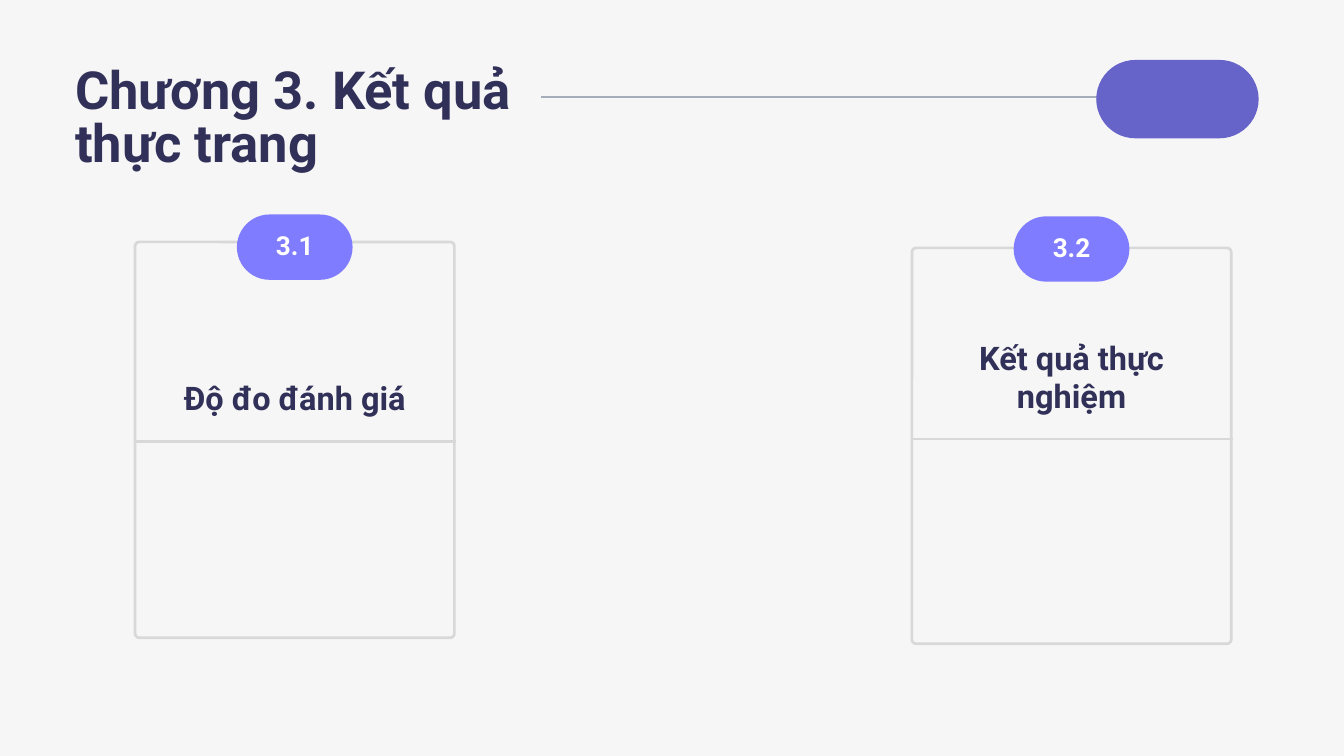
from dataclasses import dataclass
from lxml.etree import SubElement
from pptx import Presentation
from pptx.dml.color import RGBColor as RGB
from pptx.enum.shapes import MSO_CONNECTOR as LINK, MSO_SHAPE as SHAPE
from pptx.enum.text import PP_ALIGN as ALIGN
from pptx.oxml.ns import qn
from pptx.util import Pt


@dataclass(frozen=True)
class Theme:
    """Colours, font and type sizes of the deck."""
    back: RGB = RGB.from_string("F6F6F6")
    ink: RGB = RGB.from_string("313059")
    white: RGB = RGB.from_string("FFFFFF")
    deep: RGB = RGB.from_string("6663C9")
    bright: RGB = RGB.from_string("807CFF")
    frame: RGB = RGB.from_string("D8D8D8")
    rule: RGB = RGB.from_string("A4ADB8")
    font: str = "Roboto"
    title: float = 56.2
    head: float = 34.8
    label: float = 28


THEME = Theme()


def add_text(slide, box, text, size, lead, color, align=ALIGN.CENTER):
    """Place bold wrapped text without margins in a box."""
    frame = slide.shapes.add_textbox(*map(Pt, box)).text_frame
    frame.word_wrap = True
    frame.margin_left = frame.margin_right = 0
    frame.margin_top = frame.margin_bottom = 0
    para = frame.paragraphs[0]
    para.text, para.alignment, para.line_spacing = text, align, Pt(lead)
    font = para.font
    font.name, font.size, font.bold = THEME.font, Pt(size), True
    font.color.rgb = color


def add_line(slide, left, right, y, color):
    """Draw a level rule."""
    line = slide.shapes.add_connector(LINK.STRAIGHT, Pt(left), Pt(y), Pt(right), Pt(y))
    line.line.color.rgb, line.line.width = color, Pt(2.25)
    SubElement(line._element.spPr, qn("a:effectLst"))


def add_round(slide, box, bend):
    """Add a rounded box without shadow."""
    shape = slide.shapes.add_shape(SHAPE.ROUNDED_RECTANGLE, *map(Pt, box))
    shape.shadow.inherit = False
    shape.adjustments[0] = bend
    return shape


def add_pill(slide, box, color):
    """Add a filled pill."""
    pill = add_round(slide, box, 0.5)
    pill.fill.solid()
    pill.fill.fore_color.rgb = color
    pill.line.fill.background()


def add_header(slide, box, text):
    """Place the title, its rule and the end pill."""
    x, y, width, height = box
    right = x + width
    add_line(slide, x + 499, right - 151, y + 39.5, THEME.rule)
    add_pill(slide, (right - 174, y, 174, height), THEME.deep)
    add_text(slide, (x, y + 8.5, 471.6, 115), text, THEME.title, 56.2,
             THEME.ink, ALIGN.LEFT)


def add_card(slide, box, number, text, rise, lines, split):
    """Place a framed card with a numbered pill, a heading and a divider."""
    x, y, width, height = box
    edge = 2.88
    frame = add_round(slide, (x + edge / 2, y + edge / 2, width - edge, height - edge), 0.013)
    frame.fill.background()
    frame.line.color.rgb, frame.line.width = THEME.frame, Pt(edge)
    add_line(slide, x, x + width, y + split, THEME.frame)
    add_text(slide, (x + 27, y + split - 26.5 - 40 * lines, width - 54, 40 * lines),
             text, THEME.head, 40, THEME.ink)
    wide, tall = 124, 70
    left, top = x + (width - wide) / 2, y - rise
    add_pill(slide, (left, top, wide, tall), THEME.bright)
    add_text(slide, (left + 13, top + 19, wide - 26, 33), number, THEME.label,
             30.8, THEME.white)


def main():
    """Build and save the slide."""
    deck = Presentation()
    deck.slide_width, deck.slide_height = Pt(1440), Pt(810)
    slide = deck.slides.add_slide(deck.slide_layouts[6])
    slide.background.fill.solid()
    slide.background.fill.fore_color.rgb = THEME.back
    add_header(slide, (80.6, 64.2, 1268, 84), "Chương 3. Kết quả thực trang")
    add_card(slide, (143.3, 257.8, 345, 427), "3.1", "Độ đo đánh giá", 28, 1, 215.3)
    add_card(slide, (975.6, 264.2, 345, 427), "3.2", "Kết quả thực nghiệm", 32.4, 2, 206.6)
    deck.save("out.pptx")


if __name__ == "__main__":
    main()
